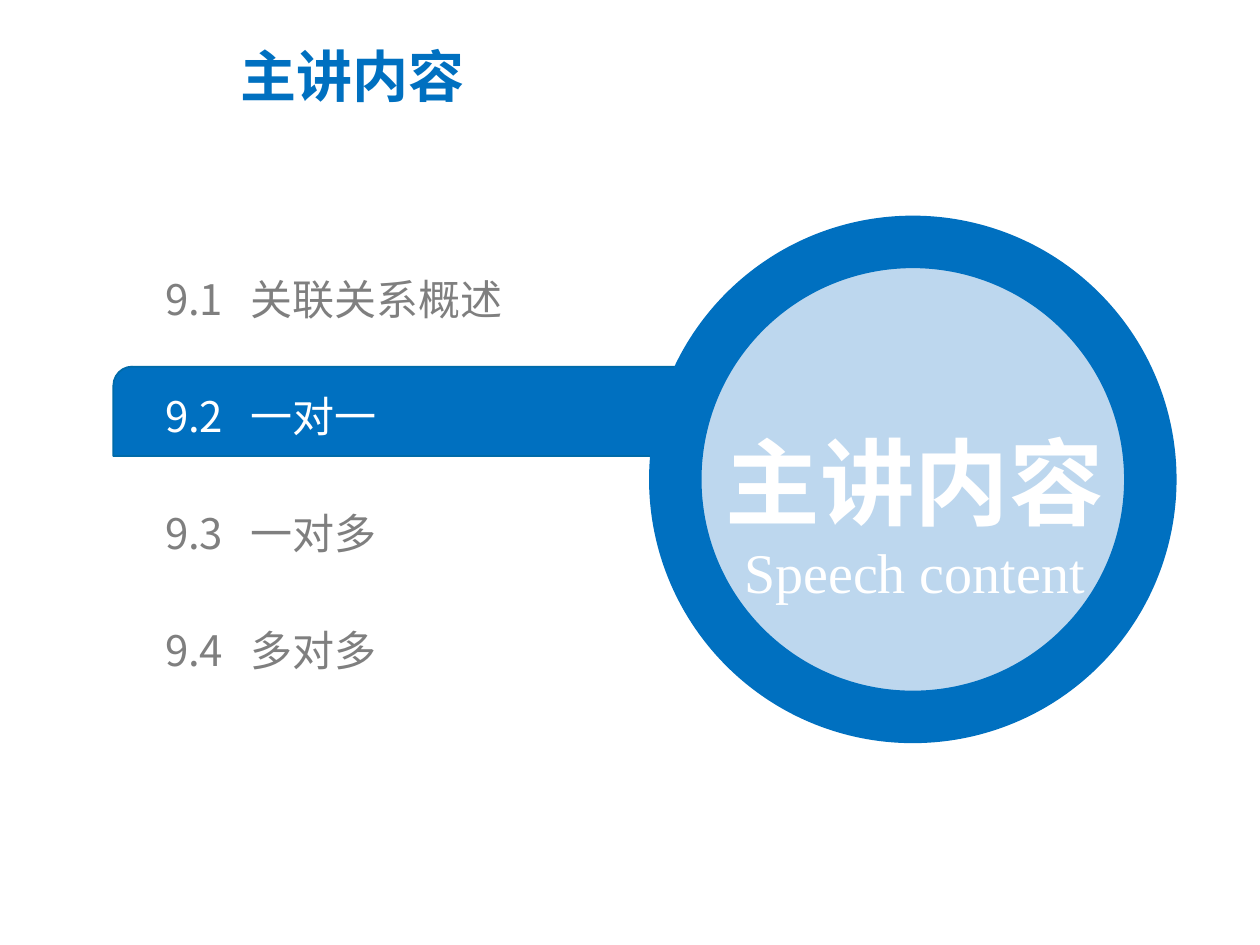
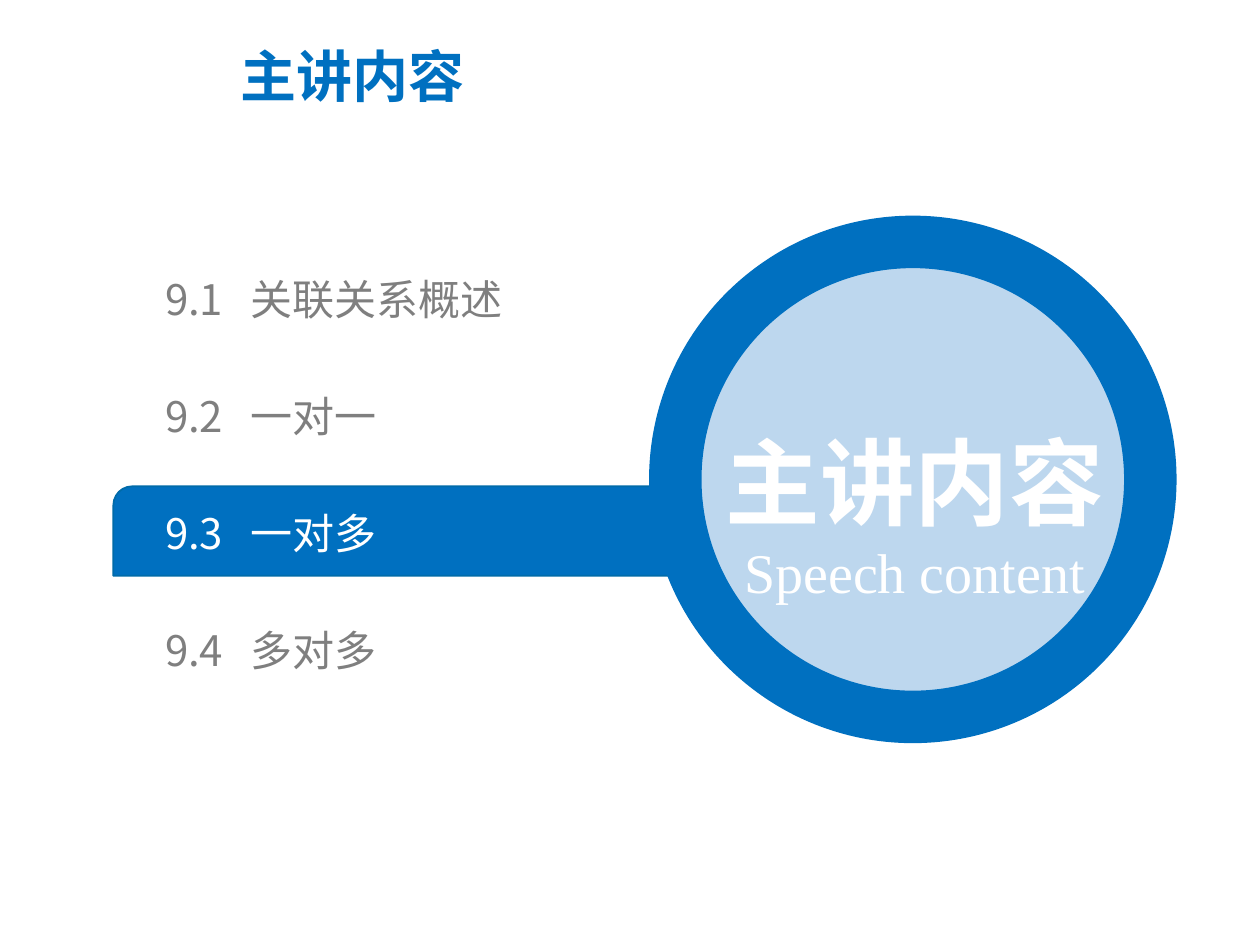
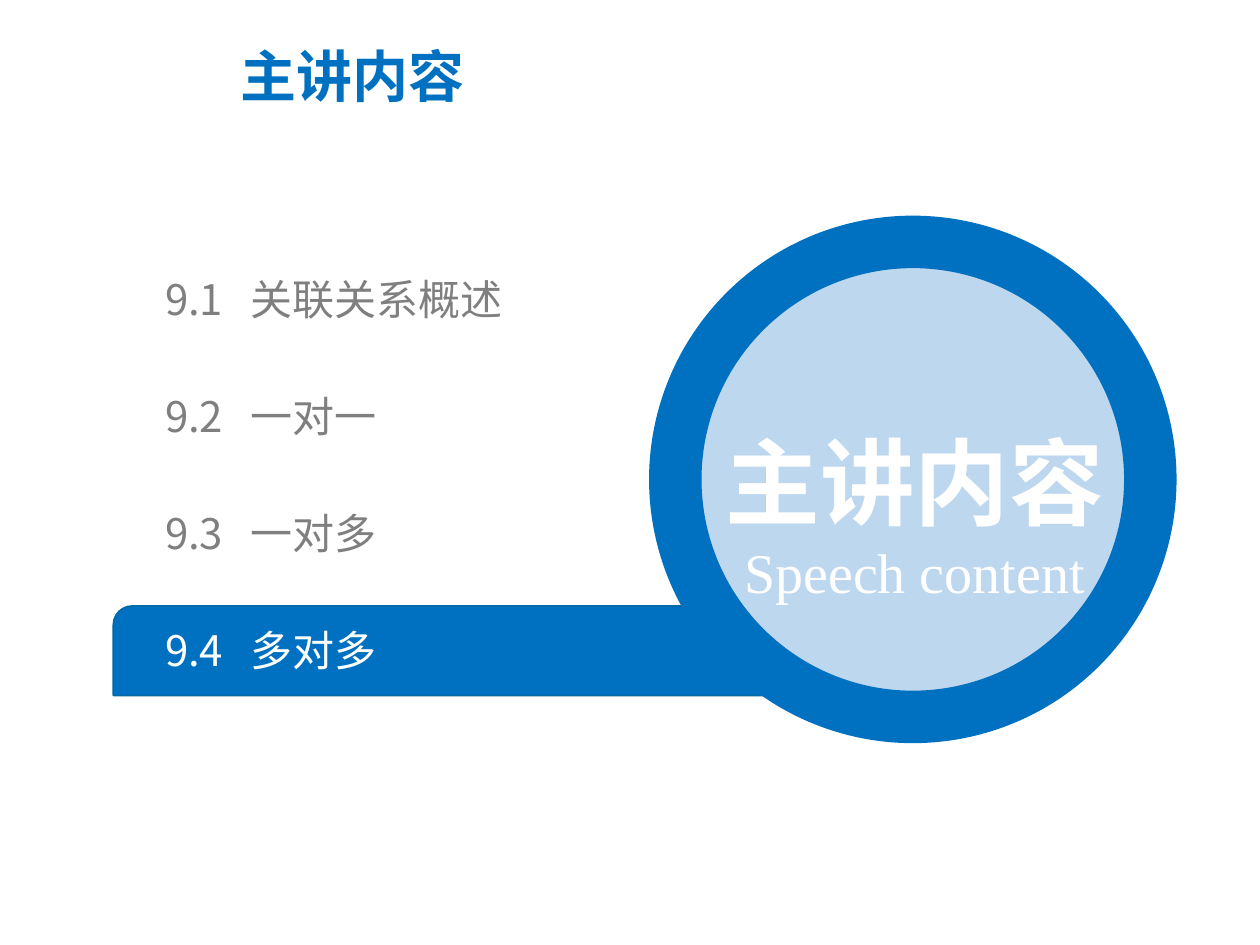
"""Build three agenda slides, each highlighting one topic of the chapter."""
import lxml.etree
import pptx
import pptx.dml.color
import pptx.enum.shapes
import pptx.enum.text
import pptx.oxml.ns
import pptx.util

Inches = pptx.util.Inches
Pt = pptx.util.Pt
SHAPES = pptx.enum.shapes.MSO_SHAPE
ALIGN = pptx.enum.text.PP_ALIGN
ANCHOR = pptx.enum.text.MSO_ANCHOR
AUTO_SIZE = pptx.enum.text.MSO_AUTO_SIZE

COLOURS = {
    "blue": "0070C0",
    "edge": "006BA9",
    "pale": "BDD7EE",
    "grey": "7F7F7F",
    "white": "FFFFFF",
}
CHINESE_FONT = "Noto Sans CJK SC"
ENGLISH_FONT = "Times New Roman"
HEADING = "主讲内容"
TOPICS = [("9.1", "关联关系概述"), ("9.2", "一对一"), ("9.3", "一对多"), ("9.4", "多对多")]
TOPIC_TOP, TOPIC_PITCH = 2.17, 0.93
BAR_TOP, BAR_PITCH = 1.96, 0.95
NAME_INDENT = 0.68


def colour(name):
    """Return the named colour as an RGB value."""
    return pptx.dml.color.RGBColor.from_string(COLOURS[name])


def add_text_box(slide, left, top, width, height, margins=(0.1, 0.05)):
    """Add a wrapping text box and return its text frame."""
    box = slide.shapes.add_textbox(Inches(left), Inches(top), Inches(width), Inches(height))
    frame = box.text_frame
    frame.word_wrap = True
    frame.margin_left = frame.margin_right = Inches(margins[0])
    frame.margin_top = frame.margin_bottom = Inches(margins[1])
    return frame


def style_paragraph(paragraph, size, colour_name, bold=False, typeface=CHINESE_FONT):
    """Set the font of a whole paragraph for Latin and East Asian text."""
    font = paragraph.font
    font.size = Pt(size)
    font.bold = bold
    font.color.rgb = colour(colour_name)
    font.name = typeface
    properties = paragraph._p.pPr.find(pptx.oxml.ns.qn("a:defRPr"))
    lxml.etree.SubElement(properties, pptx.oxml.ns.qn("a:ea"), typeface=typeface)


def add_tab_stop(paragraph, position):
    """Add one left tab stop to a paragraph."""
    properties = paragraph._p.get_or_add_pPr()
    tabs = lxml.etree.SubElement(properties, pptx.oxml.ns.qn("a:tabLst"))
    lxml.etree.SubElement(tabs, pptx.oxml.ns.qn("a:tab"), pos=str(Inches(position)), algn="l")


def add_filled_shape(slide, preset, left, top, width, height, fill, line, line_width):
    """Add a flat preset shape with a solid fill and outline."""
    shape = slide.shapes.add_shape(
        preset, Inches(left), Inches(top), Inches(width), Inches(height))
    shape.shadow.inherit = False
    shape.fill.solid()
    shape.fill.fore_color.rgb = colour(fill)
    shape.line.color.rgb = colour(line)
    shape.line.width = Pt(line_width)
    return shape


def add_title(slide):
    """Add the slide title."""
    paragraph = add_text_box(slide, 1.81, 0.34, 6.15, 0.85).paragraphs[0]
    paragraph.text = HEADING
    paragraph.line_spacing = 0.9
    style_paragraph(paragraph, 32, "blue", bold=True)


def add_highlight_bar(slide, index):
    """Add the bar behind the current topic."""
    bar = add_filled_shape(slide, SHAPES.ROUND_2_DIAG_RECTANGLE, 0.9,
                           BAR_TOP + index * BAR_PITCH, 6.26, 0.71, "blue", "edge", 1)
    bar.adjustments[0] = 0.21


def add_lens(slide):
    """Add the large ring with the bilingual heading inside."""
    add_filled_shape(slide, SHAPES.OVAL, 5.36, 1.92, 3.77, 3.77, "pale", "blue", 30)
    frame = add_text_box(slide, 5.31, 2.86, 3.9, 1.99)
    frame.vertical_anchor = ANCHOR.MIDDLE
    frame.auto_size = AUTO_SIZE.SHAPE_TO_FIT_TEXT
    heading, subheading = frame.paragraphs[0], frame.add_paragraph()
    heading.text, subheading.text = HEADING, "Speech content"
    heading.alignment = subheading.alignment = ALIGN.CENTER
    heading.line_spacing = 1.5
    style_paragraph(heading, 54, "white", bold=True)
    style_paragraph(subheading, 32, "white", typeface=ENGLISH_FONT)


def add_topic(slide, index, is_current):
    """Add one numbered topic, white when it is the current one."""
    top = TOPIC_TOP + index * TOPIC_PITCH
    frame = add_text_box(slide, 1.31, top, 4.15, 0.4, margins=(0, 0))
    frame.vertical_anchor = ANCHOR.MIDDLE
    frame.auto_size = AUTO_SIZE.SHAPE_TO_FIT_TEXT
    paragraph = frame.paragraphs[0]
    paragraph.text = "\t".join(TOPICS[index])
    add_tab_stop(paragraph, NAME_INDENT)
    style_paragraph(paragraph, 24, "white" if is_current else "grey")


def add_agenda_slide(presentation, current):
    """Add an agenda slide with the current topic highlighted."""
    slide = presentation.slides.add_slide(presentation.slide_layouts[6])
    add_title(slide)
    add_highlight_bar(slide, current)
    add_lens(slide)
    for index in range(len(TOPICS)):
        add_topic(slide, index, index == current)


def main():
    """Build and save the presentation."""
    presentation = pptx.Presentation()
    presentation.slide_width = Inches(10)
    presentation.slide_height = Inches(7.5)
    for current in range(1, len(TOPICS)):
        add_agenda_slide(presentation, current)
    presentation.save("out.pptx")


if __name__ == "__main__":
    main()
